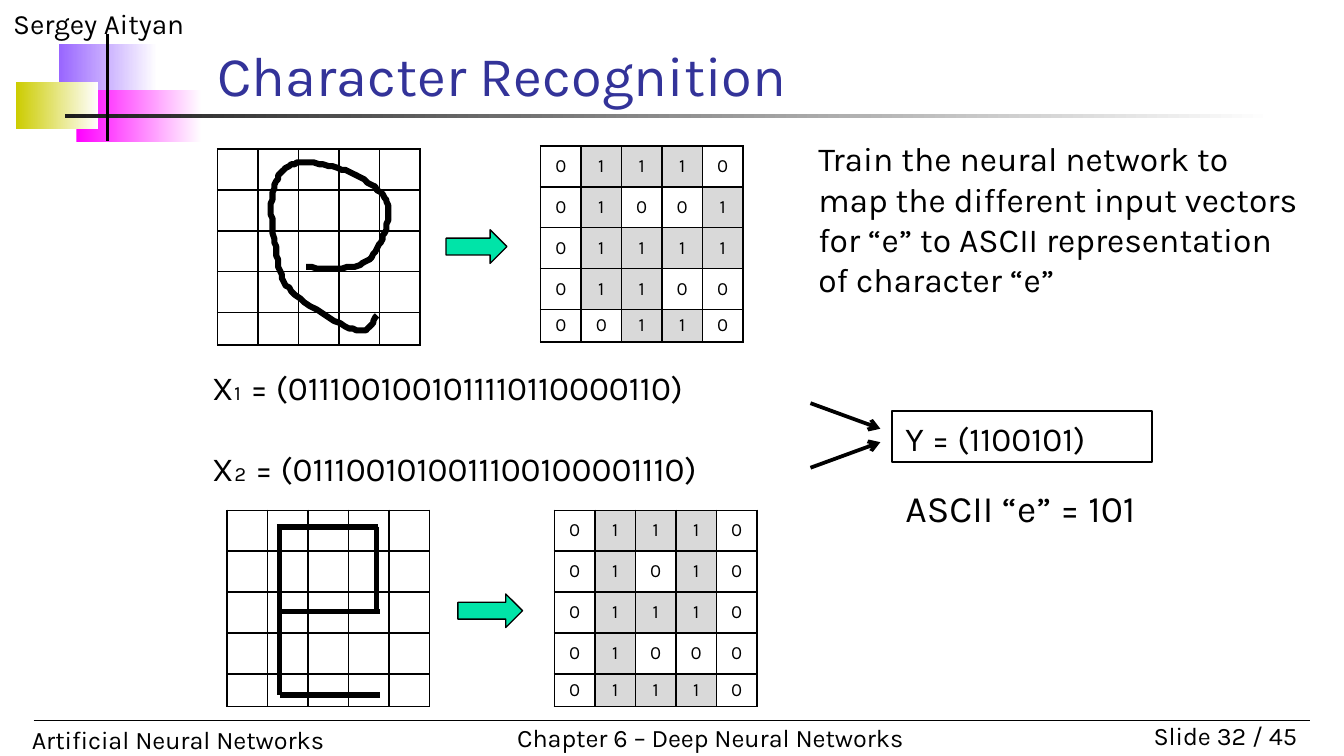
from dataclasses import dataclass

from lxml import etree
from pptx import Presentation
from pptx.dml.color import RGBColor
from pptx.enum.shapes import MSO_CONNECTOR, MSO_SHAPE
from pptx.enum.text import MSO_ANCHOR, PP_ALIGN
from pptx.oxml.ns import qn
from pptx.util import Pt

RECTANGLE, RIGHT_ARROW = MSO_SHAPE.RECTANGLE, MSO_SHAPE.RIGHT_ARROW
STRAIGHT = MSO_CONNECTOR.STRAIGHT
TOP, MIDDLE, BOTTOM = MSO_ANCHOR.TOP, MSO_ANCHOR.MIDDLE, MSO_ANCHOR.BOTTOM
LEFT, CENTER, RIGHT = PP_ALIGN.LEFT, PP_ALIGN.CENTER, PP_ALIGN.RIGHT


@dataclass(frozen=True)
class Theme:
    font: str = "Karla"
    ink: str = "000000"
    title: str = "333399"
    paper: str = "FFFFFF"
    violet: str = "9966FF"
    magenta: str = "FF00FF"
    olive: str = "CCCC00"
    rule: str = "1C1C1C"
    marked: str = "D9D9D9"
    arrow: str = "00E4A8"
    title_size: float = 30
    ascii_size: float = 20
    body_size: float = 18
    author_size: float = 15
    footer_size: float = 13.5
    digit_size: float = 10


THEME = Theme()

# Pixel vectors of the two letters, read row by row
VECTOR_1 = "0111001001011110110000110"
VECTOR_2 = "0111001010011100100001110"
GRID = 5
CELL = 21.7
ROW_HEIGHTS = [CELL + 0.2] * 4 + [17.5]

# Handwritten "e": start point, then cubic Bezier segments
E_START = (164.2, 143.3)
E_CURVES = [
    [(175.7, 144), (187.2, 144.7), (194.4, 141.1)],
    [(201.6, 138.2), (204.5, 128.9), (206.6, 123.1)],
    [(208.1, 116.6), (209.5, 110.9), (205.9, 105.8)],
    [(202.3, 100.1), (193, 94.3), (185, 91.4)],
    [(177.1, 88.6), (164.2, 85.7), (157.7, 87.8)],
    [(151.2, 89.3), (148.3, 95), (146.2, 103)],
    [(144.7, 110.2), (145.4, 123.8), (147.6, 132.5)],
    [(149, 141.8), (149.8, 149), (156.2, 156.2)],
    [(163.4, 163.4), (182.2, 174.2), (189.4, 176.4)],
    [(197.3, 178.6), (199.4, 174.2), (201.6, 169.2)],
]


def rgb(value):
    return RGBColor.from_string(value)


def box(left, top, width, height):
    return Pt(left), Pt(top), Pt(width), Pt(height)


def add_run(paragraph, text, size, color=THEME.ink):
    run = paragraph.add_run()
    run.text = text
    run.font.name = THEME.font
    run.font.size = Pt(size)
    run.font.color.rgb = rgb(color)


def add_text(slide, place, lines, size, align=LEFT, gap=0):
    frame = slide.shapes.add_textbox(*box(*place)).text_frame
    frame.word_wrap = True
    for index, line in enumerate(lines):
        paragraph = frame.add_paragraph() if index else frame.paragraphs[0]
        paragraph.alignment = align
        if index:
            paragraph.space_before = Pt(gap)
        add_run(paragraph, line, size)


def add_shape(slide, kind, place, fill=None, line_width=None):
    shape = slide.shapes.add_shape(kind, *box(*place))
    shape.shadow.inherit = False
    if fill:
        shape.fill.solid()
        shape.fill.fore_color.rgb = rgb(fill)
    else:
        shape.fill.background()
    if line_width:
        shape.line.color.rgb = rgb(THEME.ink)
        shape.line.width = Pt(line_width)
    else:
        shape.line.fill.background()
    return shape


def add_fading_bar(slide, place, color):
    fill = add_shape(slide, RECTANGLE, place).fill
    fill.gradient()
    fill.gradient_angle = 0
    for stop, position, shade in zip(fill.gradient_stops, (0, 1), (color, THEME.paper)):
        stop.position = position
        stop.color.rgb = rgb(shade)


def add_line(slide, start, end, width, arrowhead=False):
    line = slide.shapes.add_connector(STRAIGHT, *box(*start, *end))
    line.line.color.rgb = rgb(THEME.ink)
    line.line.width = Pt(width)
    properties = line._element.spPr
    if arrowhead:
        etree.SubElement(properties.find(qn("a:ln")), qn("a:tailEnd"), type="arrow")
    etree.SubElement(properties, qn("a:effectLst"))


def add_borders(cell):
    properties = cell._tc.get_or_add_tcPr()
    for side in ("lnL", "lnR", "lnT", "lnB"):
        border = etree.SubElement(properties, qn(f"a:{side}"), w=str(Pt(1)))
        solid = etree.SubElement(border, qn("a:solidFill"))
        etree.SubElement(solid, qn("a:srgbClr"), val=THEME.ink)


def add_pixel_grid(slide, left, top, vector=None):
    """Draw a 5 x 5 grid, with the vector's digits if one is given."""
    place = box(left, top, GRID * CELL, sum(ROW_HEIGHTS))
    table = slide.shapes.add_table(GRID, GRID, *place).table
    table.first_row = table.horz_banding = False
    for column in table.columns:
        column.width = Pt(CELL)
    for row, height in zip(table.rows, ROW_HEIGHTS):
        row.height = Pt(height)
    for index, cell in enumerate(table.iter_cells()):
        add_borders(cell)
        cell.vertical_anchor = MIDDLE
        cell.margin_left = cell.margin_right = Pt(5)
        cell.margin_top = cell.margin_bottom = Pt(2.6)
        cell.fill.background()
        paragraph = cell.text_frame.paragraphs[0]
        if vector:
            paragraph.alignment = CENTER
            add_run(paragraph, vector[index], THEME.digit_size)
            if vector[index] == "1":
                cell.fill.solid()
                cell.fill.fore_color.rgb = rgb(THEME.marked)
        else:
            # Small end mark keeps the empty rows from growing
            size = str(int(THEME.digit_size * 100))
            etree.SubElement(paragraph._p, qn("a:endParaRPr"), sz=size)


def bezier_points(start, curves, steps=12):
    points = []
    for first, second, end in curves:
        for step in range(1, steps + 1):
            t = step / steps
            u = 1 - t
            points.append(tuple(
                u**3 * a + 3 * u * u * t * b + 3 * u * t * t * c + t**3 * d
                for a, b, c, d in zip(start, first, second, end)))
        start = end
    return points


def add_handwritten_e(slide):
    builder = slide.shapes.build_freeform(*E_START, scale=float(Pt(1)))
    builder.add_line_segments(bezier_points(E_START, E_CURVES), close=False)
    letter = builder.convert_to_shape()
    letter.shadow.inherit = False
    letter.fill.background()
    letter.line.color.rgb = rgb(THEME.ink)
    letter.line.width = Pt(3.25)


def add_block_e(slide):
    left, right, top, middle, bottom = 149.8, 203.8, 282.2, 327.6, 372.2
    for start, end in [((left, top), (left, bottom)),
                       ((left - 1.5, top), (right - 1.5, top)),
                       ((left, middle), (right, middle)),
                       ((left, bottom), (right, bottom)),
                       ((right - 2.2, top), (right - 2.2, middle))]:
        add_line(slide, start, end, 3)


def add_frame(slide):
    # Corner ornament and title rule
    add_fading_bar(slide, (31.7, 23.8, 52.6, 28), THEME.violet)
    add_fading_bar(slide, (41, 48.2, 67, 28), THEME.magenta)
    add_fading_bar(slide, (8.6, 43.9, 44, 25.2), THEME.olive)
    add_fading_bar(slide, (34.6, 61.2, 648, 2), THEME.rule)
    add_line(slide, (57.6, 18), (57.6, 75.6), 2)
    # Header and footer
    add_text(slide, (0, 0, 180, 25), ["Sergey Aityan"], THEME.author_size)
    add_line(slide, (18, 386), (702, 386), 0.75)
    for text, place, align in [
            ("Artificial Neural Networks", (10, 384.5, 266, 24), LEFT),
            ("Chapter 6 – Deep Neural Networks", (270, 383.5, 240, 24), LEFT),
            ("Slide 32 / 45", (594, 382.5, 108, 24), RIGHT)]:
        add_text(slide, place, [text], THEME.footer_size, align)


def add_title(slide, text):
    title = slide.shapes.title
    title.left, title.top, title.width, title.height = box(109.4, 22.3, 529, 39)
    title.text_frame.vertical_anchor = BOTTOM
    paragraph = title.text_frame.paragraphs[0]
    paragraph.alignment = LEFT
    add_run(paragraph, text, THEME.title_size, THEME.title)


def add_output(slide):
    output = add_shape(slide, RECTANGLE, (478, 220.3, 139, 27.2), line_width=1)
    output.text_frame.vertical_anchor = TOP
    paragraph = output.text_frame.paragraphs[0]
    paragraph.alignment = LEFT
    add_run(paragraph, "Y = (1100101)", THEME.body_size)
    add_text(slide, (478, 256.3, 161, 32), ["ASCII “e” = 101"], THEME.ascii_size)
    for start_y, end_y in ((216, 229.7), (250.6, 236.9)):
        add_line(slide, (434.2, start_y), (471.6, end_y), 2, arrowhead=True)


def main():
    deck = Presentation()
    deck.slide_width, deck.slide_height = Pt(720), Pt(405)
    slide = deck.slides.add_slide(deck.slide_layouts[5])
    add_frame(slide)
    add_title(slide, "Character Recognition")

    # Handwritten letter and its pixels
    add_pixel_grid(slide, 116.6, 79.9)
    add_handwritten_e(slide)
    add_shape(slide, RIGHT_ARROW, (239, 123.1, 32.6, 18), THEME.arrow, 0.75)
    add_pixel_grid(slide, 289.6, 78.2, VECTOR_1)

    # Block letter and its pixels
    add_pixel_grid(slide, 121.7, 273.4)
    add_block_e(slide)
    add_shape(slide, RIGHT_ARROW, (245.3, 318.2, 34.6, 18), THEME.arrow, 0.75)
    add_pixel_grid(slide, 297, 273.4, VECTOR_2)

    # Input vectors, explanation and output
    add_text(slide, (106.6, 193, 324, 73), [f"X₁ = ({VECTOR_1})", f"X₂ = ({VECTOR_2})"],
             THEME.body_size, gap=22)
    add_text(slide, (431.3, 70.6, 271, 94),
             ["Train the neural network to map the different input vectors "
              "for “e” to ASCII representation of character “e”"], THEME.body_size)
    add_output(slide)
    deck.save("out.pptx")


if __name__ == "__main__":
    main()
